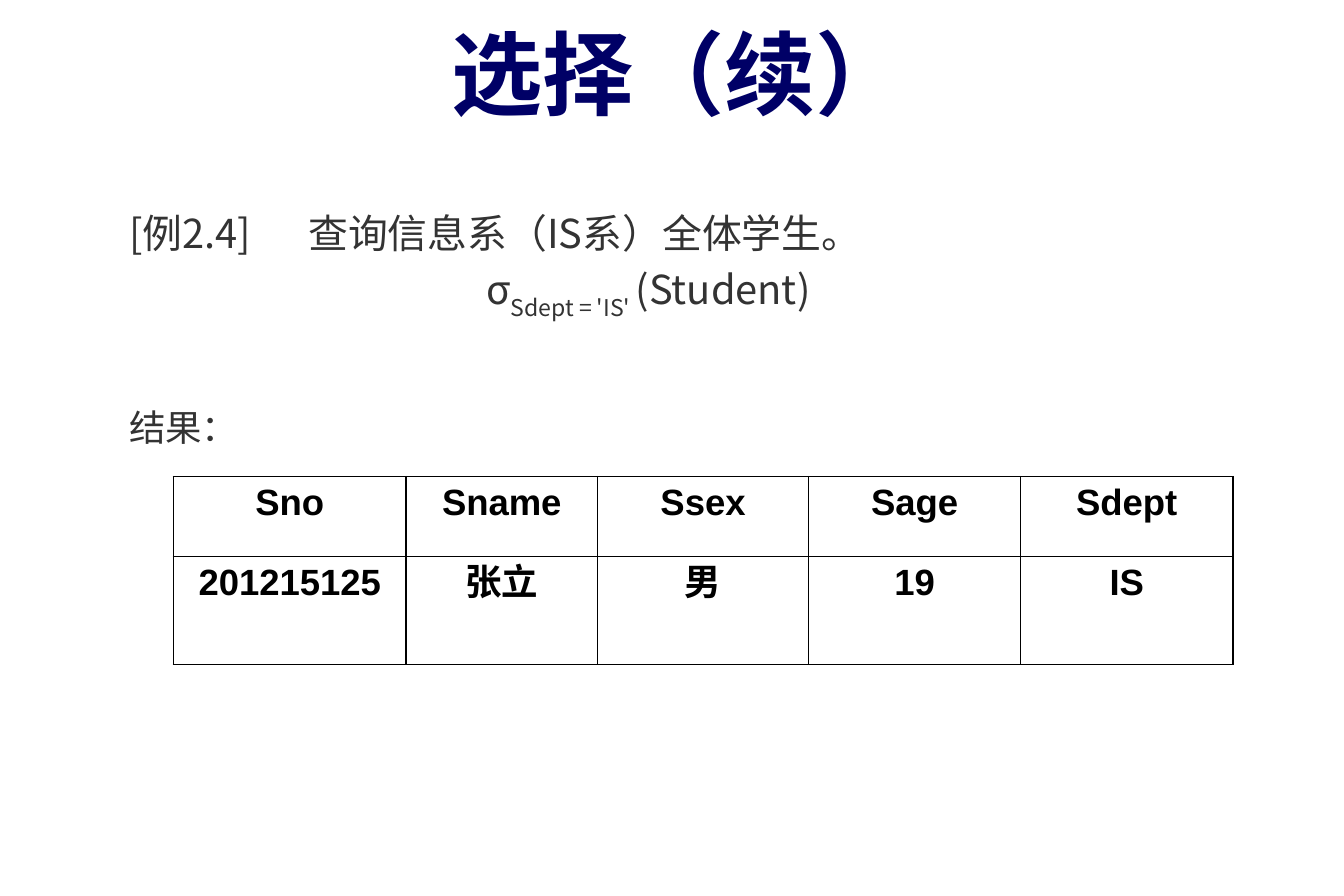
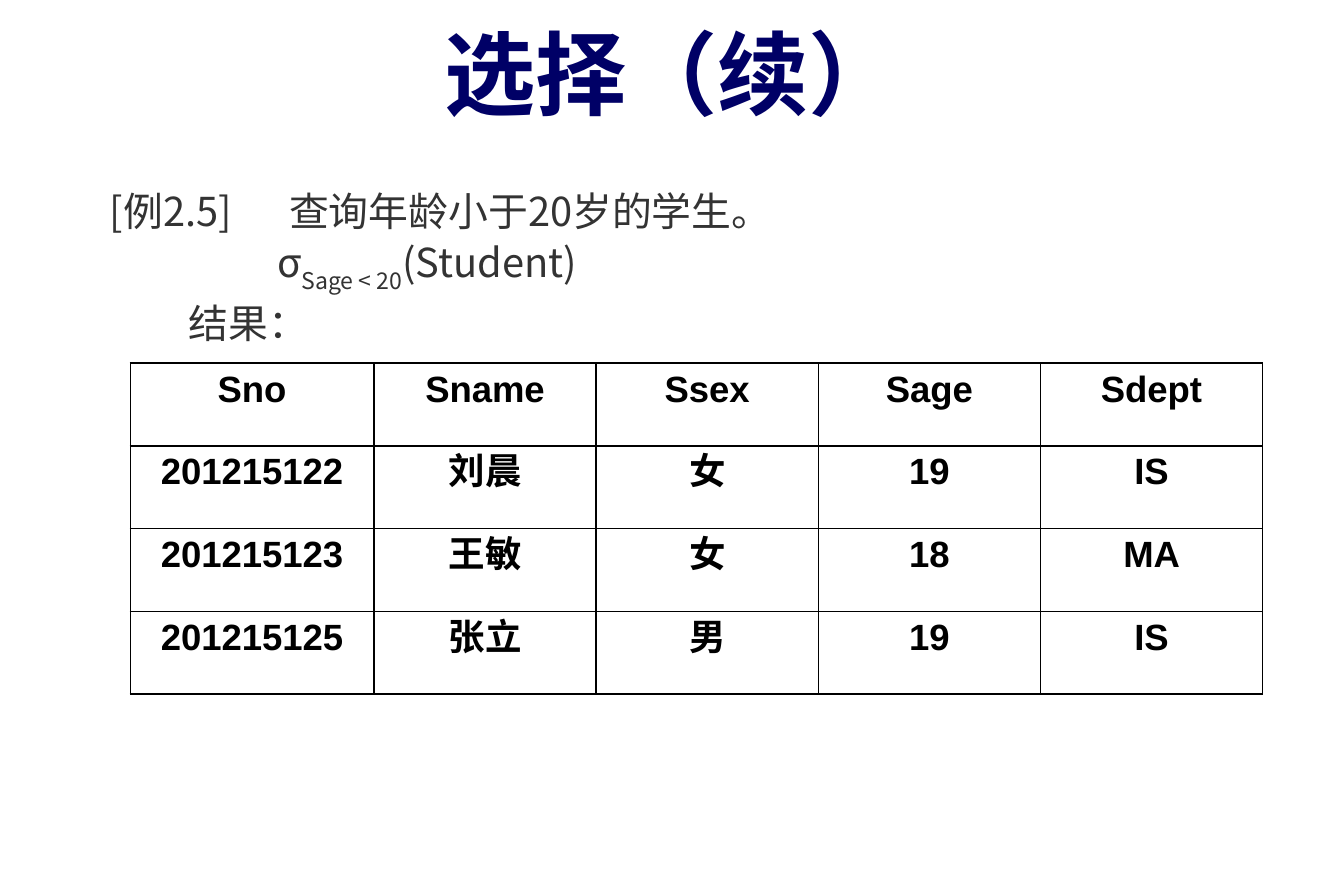
from lxml import etree
from pptx import Presentation
from pptx import util as u
from pptx.dml.color import RGBColor
from pptx.enum import text
from pptx.oxml.ns import qn


def colour(value):
    return RGBColor.from_string(value)


class Deck:
    COLUMNS, ROWS = 45, 30
    NAVY, GREY, BLACK = "000066", "333333", "000000"
    TITLE_FONT, BODY_FONT, TABLE_FONT = "Karla", "Noto Sans CJK SC", "Arial"
    HEADER = ["Sno", "Sname", "Ssex", "Sage", "Sdept"]
    TAB = 5.6

    def __init__(self):
        self.deck = Presentation()
        self.deck.slide_width = u.Inches(11.25)
        self.deck.slide_height = u.Inches(7.5)
        self.slide = None

    def x(self, columns):
        return u.Emu(round(self.deck.slide_width * columns / self.COLUMNS))

    def y(self, rows):
        return u.Emu(round(self.deck.slide_height * rows / self.ROWS))

    def new_slide(self):
        self.slide = self.deck.slides.add_slide(self.deck.slide_layouts[6])

    def style(self, paragraph, family, size, hue, bold=False):
        font = paragraph.font
        font.size, font.bold, font.name = u.Pt(size), bold, family
        font.color.rgb = colour(hue)
        properties = paragraph._p.pPr.find(qn("a:defRPr"))
        etree.SubElement(properties, qn("a:ea"), typeface=family)

    def frame(self, left, top, width, height):
        box = self.slide.shapes.add_textbox(
            self.x(left), self.y(top), self.x(width), self.y(height))
        frame = box.text_frame
        frame.word_wrap = True
        frame.margin_left = frame.margin_right = u.Inches(0.18)
        frame.margin_top = frame.margin_bottom = u.Inches(0.09)
        return frame

    def title(self, wording, left):
        frame = self.frame(left, 1.16, 36.36, 2.48)
        frame.vertical_anchor = text.MSO_ANCHOR.MIDDLE
        heading = frame.paragraphs[0]
        heading.text = wording
        heading.alignment = text.PP_ALIGN.CENTER
        self.style(heading, self.TITLE_FONT, 55, self.NAVY, True)

    def body(self, place, lines, spacing):
        frame = self.frame(*place)
        for index, (parts, indent, size, before) in enumerate(lines):
            line = frame.paragraphs[0] if index == 0 else frame.add_paragraph()
            line.line_spacing = spacing
            line.space_before = u.Pt(before)
            properties = line._p.get_or_add_pPr()
            properties.set("marL", str(self.x(indent)))
            properties.set("indent", "0")
            if "\t" in parts[0]:
                stops = etree.SubElement(properties, qn("a:tabLst"))
                etree.SubElement(stops, qn("a:tab"), pos=str(self.x(self.TAB)), algn="l")
            for position, part in enumerate(parts):
                run = line.add_run()
                run.text = part
                if position == 1:
                    run._r.get_or_add_rPr().set("baseline", "-30000")
            self.style(line, self.BODY_FONT, size, self.GREY)

    def border(self, cell):
        properties = cell._tc.get_or_add_tcPr()
        for side in ("lnL", "lnR", "lnT", "lnB"):
            edge = etree.SubElement(properties, qn(f"a:{side}"), w=str(u.Pt(1)))
            fill = etree.SubElement(edge, qn("a:solidFill"))
            etree.SubElement(fill, qn("a:srgbClr"), val=self.BLACK)

    def table(self, left, top, widths, heights, students):
        records = [self.HEADER, *students]
        table = self.slide.shapes.add_table(
            len(records), len(widths), self.x(left), self.y(top),
            self.x(sum(widths)), self.y(sum(heights))).table
        table.first_row = table.horz_banding = False
        for column, width in zip(table.columns, widths):
            column.width = self.x(width)
        for row, height, record in zip(table.rows, heights, records):
            row.height = self.y(height)
            for cell, value in zip(row.cells, record):
                self.border(cell)
                cell.fill.background()
                cell.margin_left = cell.margin_right = u.Inches(0.11)
                cell.margin_top = cell.margin_bottom = u.Inches(0.05)
                entry = cell.text_frame.paragraphs[0]
                entry.text = value
                entry.alignment = text.PP_ALIGN.CENTER
                self.style(entry, self.TABLE_FONT, 22, self.BLACK, True)


def main():
    deck = Deck()
    title = "选择（续）"
    zhang = ["201215125", "张立", "男", "19", "IS"]

    deck.new_slide()
    deck.title(title, 4.56)
    deck.body((3.6, 6.8, 36.2, 9), [
        (["[例2.4]\t查询信息系（IS系）全体学生。"], 0, 24, 0),
        (["σ", "Sdept = 'IS' ", "(Student)"], 11.96, 24, 4.8),
        (["结果："], 0, 22, 57),
    ], 0.9)
    deck.table(5.8, 15.96, [7.8, 6.4, 7.08, 7.1, 7.1], [2.68, 3.6], [zhang])

    deck.new_slide()
    deck.title(title, 4.32)
    deck.body((2.96, 5.88, 40.44, 6.68), [
        (["[例2.5]\t查询年龄小于20岁的学生。"], 0, 24, 0),
        (["σ", "Sage < 20", "(Student)"], Deck.TAB, 24, 2.4),
        (["结果："], 2.64, 24, 2.4),
    ], 1.0)
    deck.table(4.36, 12.16, [8.16] + [7.44] * 4, [2.77] * 4, [
        ["201215122", "刘晨", "女", "19", "IS"],
        ["201215123", "王敏", "女", "18", "MA"],
        zhang,
    ])

    deck.deck.save("out.pptx")


if __name__ == "__main__":
    main()
